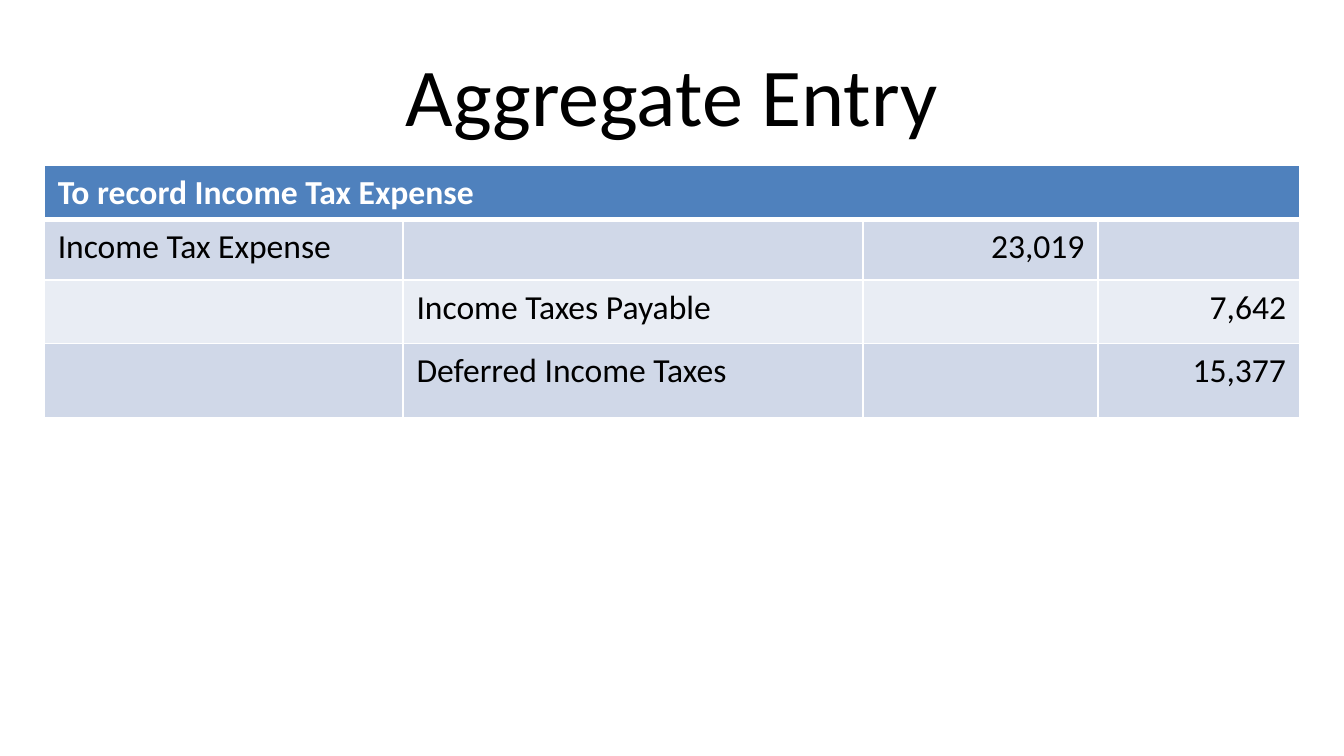
"""Build a slide showing the aggregate journal entry for income tax expense."""
from dataclasses import dataclass

import pptx
import pptx.dml.color
import pptx.enum.text
import pptx.oxml
import pptx.oxml.ns
import pptx.util

Inches = pptx.util.Inches
Align = pptx.enum.text.PP_ALIGN
Anchor = pptx.enum.text.MSO_ANCHOR


@dataclass(frozen=True)
class Theme:
    font: str = "Calibri"
    title_size: int = 44
    table_size: int = 18
    ink: str = "000000"
    white: str = "FFFFFF"
    header: str = "4F81BD"
    bands: tuple = ("D0D8E8", "E9EDF4")
    thin: int = 1
    thick: int = 3


THEME = Theme()
COLUMN_WIDTHS = (2.67, 3.42, 1.75, 1.5)
ROW_HEIGHTS = (0.37, 0.45, 0.47, 0.55)
FIRST_AMOUNT_COLUMN = 2
ENTRY = (
    ("To record Income Tax Expense", "", "", ""),
    ("Income Tax Expense", "", "23,019", ""),
    ("", "Income Taxes Payable", "", "7,642"),
    ("", "Deferred Income Taxes", "", "15,377"),
)


def style_text(frame, size, color, align, bold=False):
    for para in frame.paragraphs:
        para.alignment = align
        for span in para.runs:
            span.font.name = THEME.font
            span.font.size = pptx.util.Pt(size)
            span.font.bold = bold
            span.font.color.rgb = pptx.dml.color.RGBColor.from_string(color)


def add_title(page, text):
    title = page.shapes.title
    title.left, title.top = Inches(0.5), Inches(0.23)
    title.width, title.height = Inches(9), Inches(0.94)
    title.text_frame.text = text
    title.text_frame.vertical_anchor = Anchor.MIDDLE
    style_text(title.text_frame, THEME.title_size, THEME.ink, Align.CENTER)


def set_borders(cell, top, bottom):
    properties = cell._tc.get_or_add_tcPr()
    widths = {"lnL": THEME.thin, "lnR": THEME.thin, "lnT": top, "lnB": bottom}
    for index, (side, width) in enumerate(widths.items()):
        line = pptx.oxml.parse_xml(
            f'<a:{side} {pptx.oxml.ns.nsdecls("a")} w="{pptx.util.Pt(width)}">'
            f'<a:solidFill><a:srgbClr val="{THEME.white}"/></a:solidFill></a:{side}>'
        )
        properties.insert(index, line)


def format_cell(cell, text, row, column):
    is_header = row == 0
    fill = THEME.header if is_header else THEME.bands[(row - 1) % 2]
    cell.fill.solid()
    cell.fill.fore_color.rgb = pptx.dml.color.RGBColor.from_string(fill)
    set_borders(
        cell,
        top=THEME.thick if row == 1 else THEME.thin,
        bottom=THEME.thick if is_header else THEME.thin,
    )
    cell.text_frame.text = text
    color = THEME.white if is_header else THEME.ink
    align = Align.RIGHT if column >= FIRST_AMOUNT_COLUMN else Align.LEFT
    style_text(cell.text_frame, THEME.table_size, color, align, is_header)


def add_entry_table(page):
    table = page.shapes.add_table(
        len(ENTRY), len(COLUMN_WIDTHS),
        Inches(0.33), Inches(1.23),
        Inches(sum(COLUMN_WIDTHS)), Inches(sum(ROW_HEIGHTS)),
    ).table
    for column, width in zip(table.columns, COLUMN_WIDTHS):
        column.width = Inches(width)
    for row, height in zip(table.rows, ROW_HEIGHTS):
        row.height = Inches(height)
    for row, texts in enumerate(ENTRY):
        for column, text in enumerate(texts):
            format_cell(table.cell(row, column), text, row, column)
    table.cell(0, 0).merge(table.cell(0, len(COLUMN_WIDTHS) - 1))


def main():
    deck = pptx.Presentation()
    deck.slide_width = Inches(10)
    deck.slide_height = deck.slide_width * 9 // 16
    page = deck.slides.add_slide(deck.slide_layouts.get_by_name("Title Only"))
    add_title(page, "Aggregate Entry")
    add_entry_table(page)
    deck.save("out.pptx")


if __name__ == "__main__":
    main()
